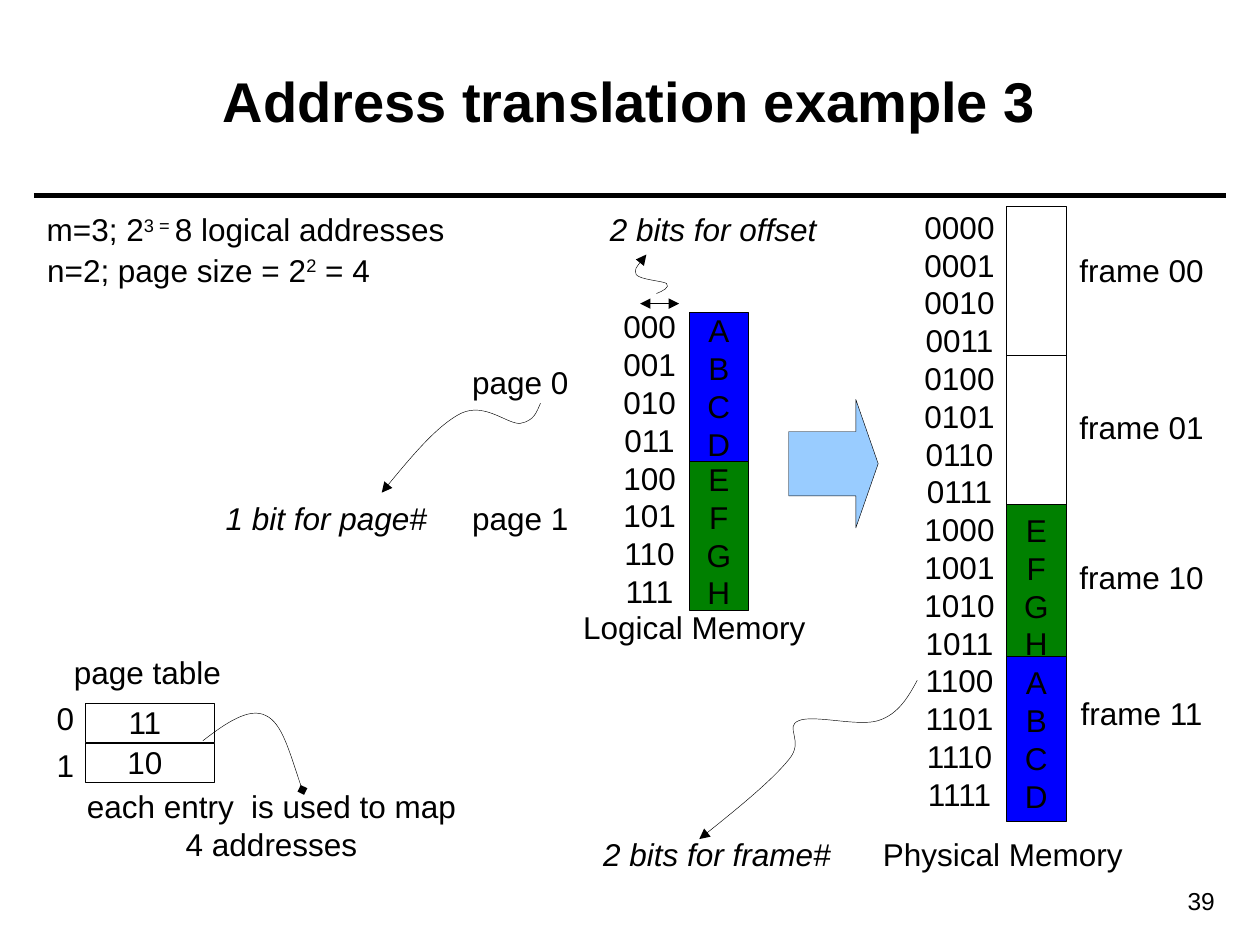
from lxml.etree import SubElement
from pptx import Presentation
from pptx.dml.color import RGBColor
from pptx.enum.shapes import MSO_CONNECTOR, MSO_SHAPE
from pptx.enum.text import MSO_ANCHOR, MSO_AUTO_SIZE, PP_ALIGN
from pptx.oxml.ns import qn
from pptx.util import Inches, Pt

BLACK = RGBColor(0, 0, 0)
GREEN = RGBColor(0, 0x80, 0)
BLUE = RGBColor(0, 0, 0xFF)
SKY = RGBColor(0x99, 0xCC, 0xFF)
LABEL_HEIGHT = 0.4


def style_span(span, size=18, italic=False, bold=False):
    """Give one run its font."""
    span.font.name = "Arial"
    span.font.size = Pt(size)
    span.font.italic = italic
    span.font.bold = bold
    span.font.color.rgb = BLACK


def write_lines(frame, text, italic=False, size=18, align=PP_ALIGN.CENTER):
    """Write one paragraph per line, raising every second part between carets."""
    for index, line in enumerate(text.split("\n")):
        para = frame.add_paragraph() if index else frame.paragraphs[0]
        para.alignment = align
        for part, words in enumerate(line.split("^")):
            span = para.add_run()
            span.text = words
            style_span(span, size, italic)
            if part % 2:
                span.font._element.set("baseline", "30000")


def add_label(page, left, top, width, text, height=LABEL_HEIGHT, italic=False):
    """Add a centred text box that does not wrap."""
    box = page.shapes.add_textbox(Inches(left), Inches(top), Inches(width), Inches(height))
    frame = box.text_frame
    frame.word_wrap = False
    frame.auto_size = MSO_AUTO_SIZE.SHAPE_TO_FIT_TEXT
    frame.margin_left = frame.margin_right = 0
    write_lines(frame, text, italic)


def add_block(page, left, top, width, height, fill=None, text="", kind=MSO_SHAPE.RECTANGLE):
    """Add a thinly outlined shape with optional fill and text."""
    block = page.shapes.add_shape(kind, Inches(left), Inches(top), Inches(width), Inches(height))
    block.shadow.inherit = False
    if fill is None:
        block.fill.background()
    else:
        block.fill.solid()
        block.fill.fore_color.rgb = fill
    block.line.color.rgb = BLACK
    block.line.width = Pt(0.25)
    if text:
        block.text_frame.word_wrap = False
        block.text_frame.vertical_anchor = MSO_ANCHOR.MIDDLE
        write_lines(block.text_frame, text)
    return block


def style_line(shape, width=0.25, head=None, tail=None):
    """Draw a black line with the given arrowheads."""
    shape.line.color.rgb = BLACK
    shape.line.width = Pt(width)
    outline = shape.line._get_or_add_ln()
    for tag, end in (("a:headEnd", head), ("a:tailEnd", tail)):
        if end:
            SubElement(outline, qn(tag)).set("type", end)


def add_line(page, start, end, **style):
    """Add a straight connector without shadow."""
    ends = [Inches(value) for value in (*start, *end)]
    line = page.shapes.add_connector(MSO_CONNECTOR.STRAIGHT, *ends)
    style_line(line, **style)
    SubElement(line._element.spPr, qn("a:effectLst"))


def add_curve(page, points, tail="triangle"):
    """Add a Bezier curve from a start point and triples of control points."""
    start, *controls = [(Inches(x), Inches(y)) for x, y in points]
    builder = page.shapes.build_freeform(*start)
    builder.add_line_segments(controls, close=False)
    curve = builder.convert_to_shape()
    curve.shadow.inherit = False
    curve.fill.background()
    style_line(curve, tail=tail)
    track = next(curve._element.iter(qn("a:path")))
    segments = track.findall(qn("a:lnTo"))
    for first in range(0, len(segments), 3):
        bend = SubElement(track, qn("a:cubicBezTo"))
        for segment in segments[first:first + 3]:
            bend.append(segment[0])
            track.remove(segment)


def add_heading(page, left, top, width, height):
    """Place the title and the rule below it."""
    title = page.shapes.title
    title.left, title.top = Inches(left), Inches(top)
    title.width, title.height = Inches(width), Inches(height)
    title.text_frame.vertical_anchor = MSO_ANCHOR.MIDDLE
    para = title.text_frame.paragraphs[0]
    para.alignment = PP_ALIGN.CENTER
    span = para.add_run()
    span.text = "Address translation example 3"
    style_span(span, 32, bold=True)
    rule = top + height + 0.13
    add_line(page, (left - 0.08, rule), (left + width + 0.09, rule), width=3)


def add_parameters(page, left, top):
    """State the address and page sizes."""
    add_label(page, left, top, 3.36, "m=3; 2^3 = ^8 logical addresses")
    add_label(page, left, top + 0.32, 2.77, "n=2; page size = 2^2^ = 4")


def add_logical_memory(page, left, top):
    """Draw the two logical pages, their addresses and the bit notes."""
    height = 1.18
    add_block(page, left, top + height, 0.47, height, GREEN, "E\nF\nG\nH")
    add_block(page, left, top, 0.47, height, BLUE, "A\nB\nC\nD")
    addresses = "\n".join(f"{number:03b}" for number in range(8))
    add_label(page, left - 0.62, top - 0.09, 0.61, addresses, 2.5)
    add_label(page, left - 0.94, top + 2.3, 1.96, "Logical Memory")
    for number in range(2):
        add_label(page, left - 1.82, top + 0.35 + 1.08 * number, 0.96, f"page {number}")
    add_label(page, left - 3.78, top + 1.43, 1.8, "1 bit for page#", italic=True)
    add_label(page, left - 0.73, top - 0.86, 1.84, "2 bits for offset", italic=True)
    add_line(page, (left - 0.39, top - 0.07), (left - 0.08, top - 0.07),
             head="triangle", tail="triangle")
    add_curve(page, [(4.29, 3.2), (4.26, 3.27), (4.24, 3.34), (4.13, 3.36), (4.03, 3.37),
                     (3.85, 3.19), (3.66, 3.28), (3.48, 3.37), (3.25, 3.64), (3.03, 3.91)])
    add_curve(page, [(5.21, 2.33), (5.26, 2.31), (5.32, 2.28), (5.29, 2.25), (5.26, 2.23),
                     (5.08, 2.22), (5.05, 2.18), (5.03, 2.14), (5.08, 2.08), (5.13, 2.02)])


def add_physical_memory(page, left, top):
    """Draw the four frames, their addresses and the frame note."""
    frames = [(0, 1.18, None, "", 0.3), (1.18, 1.18, None, "", 1.55),
              (2.36, 1.31, GREEN, "E\nF\nG\nH", 2.74), (3.57, 1.31, BLUE, "A\nB\nC\nD", 3.82)]
    for number, (offset, height, fill, letters, label) in enumerate(frames):
        add_block(page, left, top + offset, 0.47, height, fill, letters)
        add_label(page, left + 0.48, top + label, 1.18, f"frame {number:02b}")
    addresses = "\n".join(f"{number:04b}" for number in range(16))
    add_label(page, left - 0.75, top - 0.04, 0.75, addresses, 4.91)
    add_label(page, left - 1.08, top + 4.94, 2.1, "Physical Memory")
    add_label(page, left - 3.3, top + 4.94, 2, "2 bits for frame#", italic=True)
    add_curve(page, [(7.28, 5.4), (7.21, 5.53), (7.13, 5.67), (6.97, 5.72), (6.81, 5.77),
                     (6.46, 5.67), (6.34, 5.72), (6.22, 5.77), (6.39, 5.88), (6.26, 6.03),
                     (6.13, 6.19), (5.84, 6.43), (5.55, 6.66)])


def add_page_table(page, left, top):
    """Draw the page table with its entries and note."""
    add_label(page, left - 0.19, top - 0.45, 1.36, "page table")
    for number, entry in enumerate(("11", "10")):
        row = top + 0.32 * number
        add_block(page, left, row, 1.02, 0.31)
        add_label(page, left - 0.33, top - 0.08 + 0.37 * number, 0.34, str(number))
        add_label(page, left + 0.23, row - 0.05, 0.48, entry)
    add_curve(page, [(1.61, 5.88), (1.79, 5.74), (1.98, 5.61), (2.11, 5.68),
                     (2.24, 5.74), (2.3, 5.98), (2.4, 6.27)], "diamond")
    add_label(page, left - 0.09, top + 0.62, 3.13, "each entry  is used to map\n4 addresses", 0.71)


def add_page_number(page, left, top, width, height):
    """Write the page number at the lower right."""
    box = page.shapes.add_textbox(Inches(left), Inches(top), Inches(width), Inches(height))
    box.text_frame.word_wrap = True
    write_lines(box.text_frame, "39", size=14, align=PP_ALIGN.RIGHT)


def main():
    """Build and save the deck."""
    deck = Presentation()
    deck.slide_width, deck.slide_height = Inches(10), Inches(7.5)
    page = deck.slides.add_slide(deck.slide_layouts[5])
    add_heading(page, 0.35, 0.17, 9.29, 1.25)
    add_parameters(page, 0.27, 1.62)
    add_logical_memory(page, 5.47, 2.48)
    arrow = add_block(page, 6.26, 3.17, 0.71, 1.02, SKY, kind=MSO_SHAPE.RIGHT_ARROW)
    arrow.adjustments[0], arrow.adjustments[1] = 0.5, 0.25
    add_physical_memory(page, 7.99, 1.64)
    add_page_table(page, 0.68, 5.58)
    add_page_number(page, 8.7, 6.98, 1.04, 0.34)
    deck.save("out.pptx")


if __name__ == "__main__":
    main()
